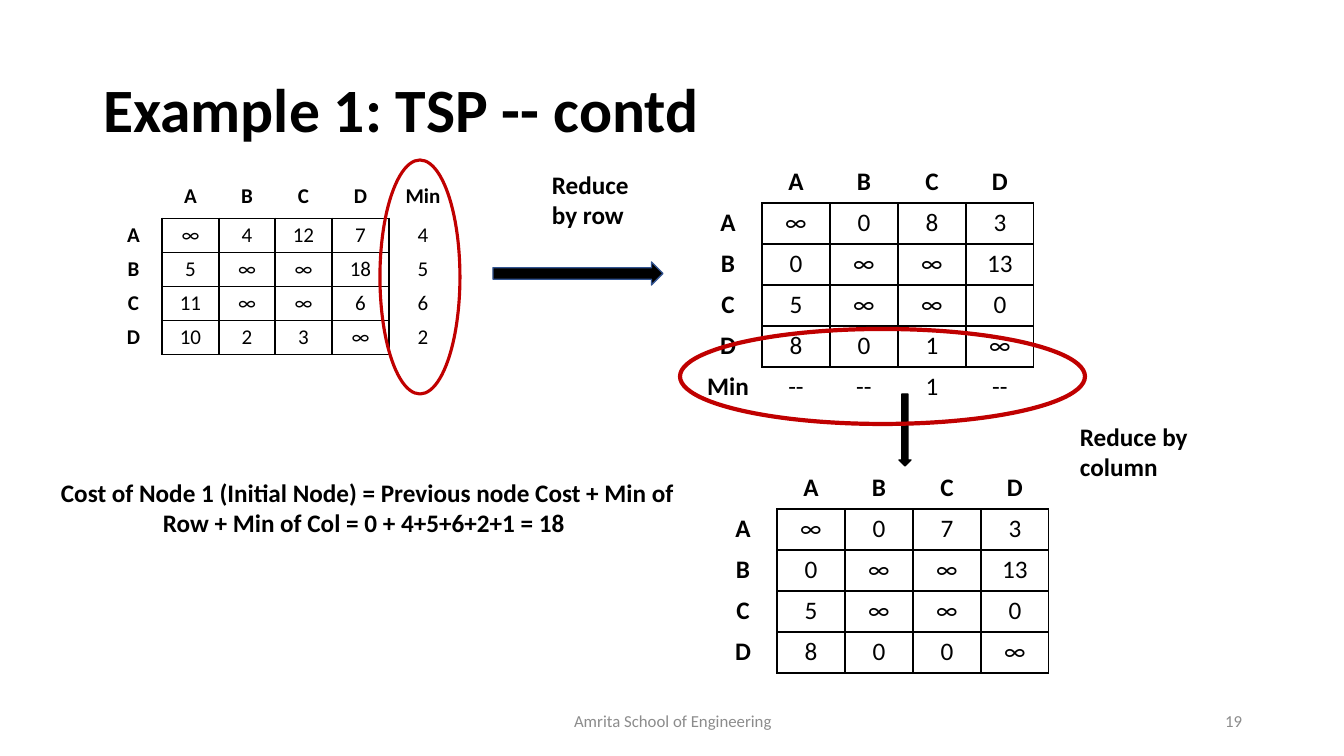
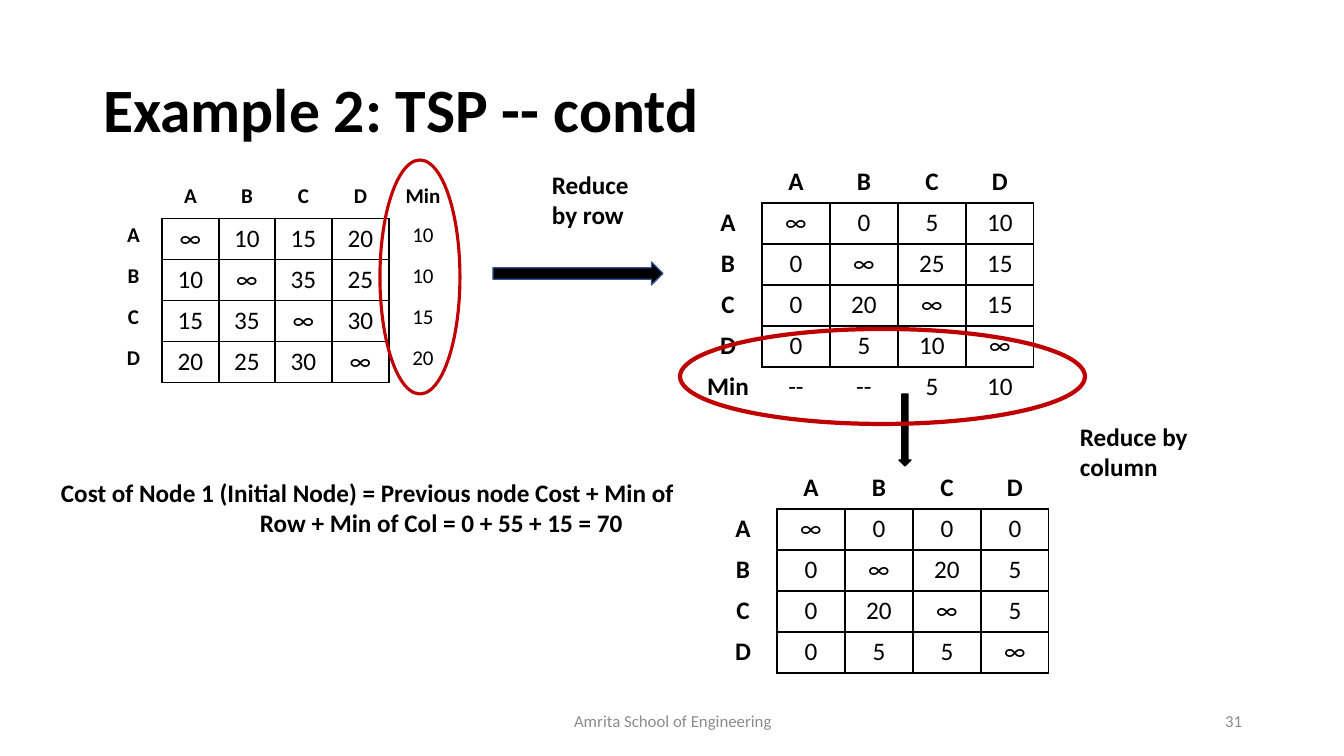
import pptx
import pptx.dml.color
import pptx.enum.shapes
import pptx.enum.text
import pptx.oxml.ns
import pptx.util
from lxml import etree

RGB = pptx.dml.color.RGBColor
BLACK = RGB(0x00, 0x00, 0x00)
GREY = RGB(0x8C, 0x8C, 0x8C)
NAVY = RGB(0x32, 0x54, 0x91)
RED = RGB(0xC0, 0x00, 0x00)

SHAPE = pptx.enum.shapes.MSO_SHAPE
ALIGN = pptx.enum.text.PP_ALIGN
ANCHOR = pptx.enum.text.MSO_ANCHOR
FIT = pptx.enum.text.MSO_AUTO_SIZE
qn = pptx.oxml.ns.qn

PX_PER_INCH = 100.8
NO_STYLE = "{2D5ABB26-0587-4C30-8999-92F81FD0307C}"
NODES = "ABCD"
SIDES = {"lnL": (0, -1), "lnR": (0, 1), "lnT": (-1, 0), "lnB": (1, 0)}


def px(n):
    return round(n * 914400 / PX_PER_INCH)


def in_matrix(row, col):
    return 1 <= row <= len(NODES) and 1 <= col <= len(NODES)


class Deck:
    """Holds the presentation, the shared style and the current slide."""

    font = {"name": "Calibri", "size": 18, "bold": True, "color": BLACK}

    def __init__(self):
        self.prs = pptx.Presentation()
        self.prs.slide_width = px(1344)
        self.prs.slide_height = px(756)

    def run(self, p, text, **changes):
        style = {**self.font, **changes}
        color = style.pop("color")
        style["size"] = pptx.util.Pt(style["size"])
        r = p.add_run()
        r.text = text
        for name, value in style.items():
            setattr(r.font, name, value)
        r.font.color.rgb = color

    def slide(self, title, number):
        self.s = self.prs.slides.add_slide(self.prs.slide_layouts[5])
        sp = self.s.shapes.title
        box = {"left": 93, "top": 40, "width": 1159, "height": 146}
        for name, value in box.items():
            setattr(sp, name, px(value))
        tf = sp.text_frame
        tf.auto_size = FIT.NONE
        tf.vertical_anchor = ANCHOR.MIDDLE
        p = tf.paragraphs[0]
        p.alignment = ALIGN.LEFT
        p.line_spacing = 0.9
        self.run(p, title, size=44)
        footer = {"anchor": ANCHOR.MIDDLE, "size": 12, "bold": False, "color": GREY}
        self.text(446, 701, 454, 40, ["Amrita School of Engineering"],
                  align=ALIGN.CENTER, **footer)
        self.text(950, 701, 302, 40, [str(number)], align=ALIGN.RIGHT, **footer)

    def text(self, x, y, w, h, lines, indents=(0,), align=ALIGN.LEFT,
             anchor=ANCHOR.TOP, **changes):
        sp = self.s.shapes.add_textbox(px(x), px(y), px(w), px(h))
        tf = sp.text_frame
        tf.word_wrap = True
        tf.vertical_anchor = anchor
        for i, (line, indent) in enumerate(zip(lines, indents)):
            p = tf.add_paragraph() if i else tf.paragraphs[0]
            p.alignment = align
            if indent:
                p._p.get_or_add_pPr().set("marL", str(px(indent)))
            self.run(p, line, **changes)

    def shape(self, kind, x, y, w, h, line, weight, fill=None):
        sp = self.s.shapes.add_shape(kind, px(x), px(y), px(w), px(h))
        sp.shadow.inherit = False
        if fill is None:
            sp.fill.background()
        else:
            sp.fill.solid()
            sp.fill.fore_color.rgb = fill
        sp.line.color.rgb = line
        sp.line.width = pptx.util.Pt(weight)

    def borders(self, cell, row, col):
        """Draw every edge that touches the cost matrix."""
        tcPr = cell._tc.get_or_add_tcPr()
        for i, (side, (down, right)) in enumerate(SIDES.items()):
            ln = etree.Element(qn("a:" + side))
            if in_matrix(row, col) or in_matrix(row + down, col + right):
                ln.set("w", str(pptx.util.Pt(1)))
                fill = etree.SubElement(ln, qn("a:solidFill"))
                etree.SubElement(fill, qn("a:srgbClr"), val=str(BLACK))
            else:
                etree.SubElement(ln, qn("a:noFill"))
            tcPr.insert(i, ln)

    def matrix(self, x, y, costs, widths, label_size=18, cost_size=18):
        """Costs are rows of words; a fifth row or column holds the minima."""
        costs = [row.split() for row in costs]
        head = [*NODES, "Min"]
        rows = [["", *head[:len(costs[0])]]]
        rows += [[label, *row] for label, row in zip(head, costs)]
        row_px = {15: 34, 18: 41}
        heights = [row_px[label_size]] + [row_px[cost_size]] * len(costs)
        table = self.s.shapes.add_table(len(rows), len(widths), px(x), px(y),
                                        px(sum(widths)), px(sum(heights))).table
        table.first_row = table.horz_banding = False
        table._tbl.tblPr.find(qn("a:tableStyleId")).text = NO_STYLE
        for column, width in zip(table.columns, widths):
            column.width = px(width)
        for i, (row, height) in enumerate(zip(rows, heights)):
            table.rows[i].height = px(height)
            for j, word in enumerate(row):
                cell = table.cell(i, j)
                size = cost_size if in_matrix(i, j) else label_size
                cell.margin_left = cell.margin_right = px(10)
                cell.margin_top = cell.margin_bottom = px(4 if size == 15 else 5)
                cell.fill.background()
                self.borders(cell, i, j)
                p = cell.text_frame.paragraphs[0]
                p.alignment = ALIGN.CENTER
                self.run(p, word, size=size, bold=i == 0 or j == 0)

    def reduction(self, title, number, start, cost_size, by_row, by_column,
                  total, indent):
        """One slide: costs reduced by row, then by column, and the node cost."""
        self.slide(title, number)
        self.matrix(105, 180, start, [57, 57, 56, 57, 57, 68], 15, cost_size)
        self.matrix(694, 162, by_row, [68] * 5)
        self.matrix(709, 468, by_column, [68] * 5)
        self.text(542, 164, 122, 72, ["Reduce by row"])
        self.text(1070, 416, 149, 72, ["Reduce by column"])
        self.shape(SHAPE.RIGHT_ARROW, 493, 262, 170, 23, NAVY, 1, BLACK)
        self.shape(SHAPE.DOWN_ARROW, 899, 394, 12, 72, BLACK, 1, BLACK)
        self.text(51, 472, 672, 72,
                  ["Cost of Node 1 (Initial Node) = Previous node Cost + Min of",
                   "Row + Min of Col = " + total], indents=(0, indent))
        self.shape(SHAPE.OVAL, 380, 160, 80, 234, RED, 2.25)
        self.shape(SHAPE.OVAL, 680, 329, 405, 95, RED, 3)


def main():
    deck = Deck()
    deck.reduction(
        "Example 1: TSP -- contd", 19,
        start=["∞ 4 12 7 4", "5 ∞ ∞ 18 5", "11 ∞ ∞ 6 6", "10 2 3 ∞ 2"],
        cost_size=15,
        by_row=["∞ 0 8 3", "0 ∞ ∞ 13", "5 ∞ ∞ 0", "8 0 1 ∞", "-- -- 1 --"],
        by_column=["∞ 0 7 3", "0 ∞ ∞ 13", "5 ∞ ∞ 0", "8 0 0 ∞"],
        total="0 + 4+5+6+2+1 = 18", indent=102)
    deck.reduction(
        "Example 2: TSP -- contd", 31,
        start=["∞ 10 15 20 10", "10 ∞ 35 25 10", "15 35 ∞ 30 15", "20 25 30 ∞ 20"],
        cost_size=18,
        by_row=["∞ 0 5 10", "0 ∞ 25 15", "0 20 ∞ 15", "0 5 10 ∞", "-- -- 5 10"],
        by_column=["∞ 0 0 0", "0 ∞ 20 5", "0 20 ∞ 5", "0 5 5 ∞"],
        total="0 + 55 + 15 = 70", indent=199)
    deck.prs.save("out.pptx")


if __name__ == "__main__":
    main()
